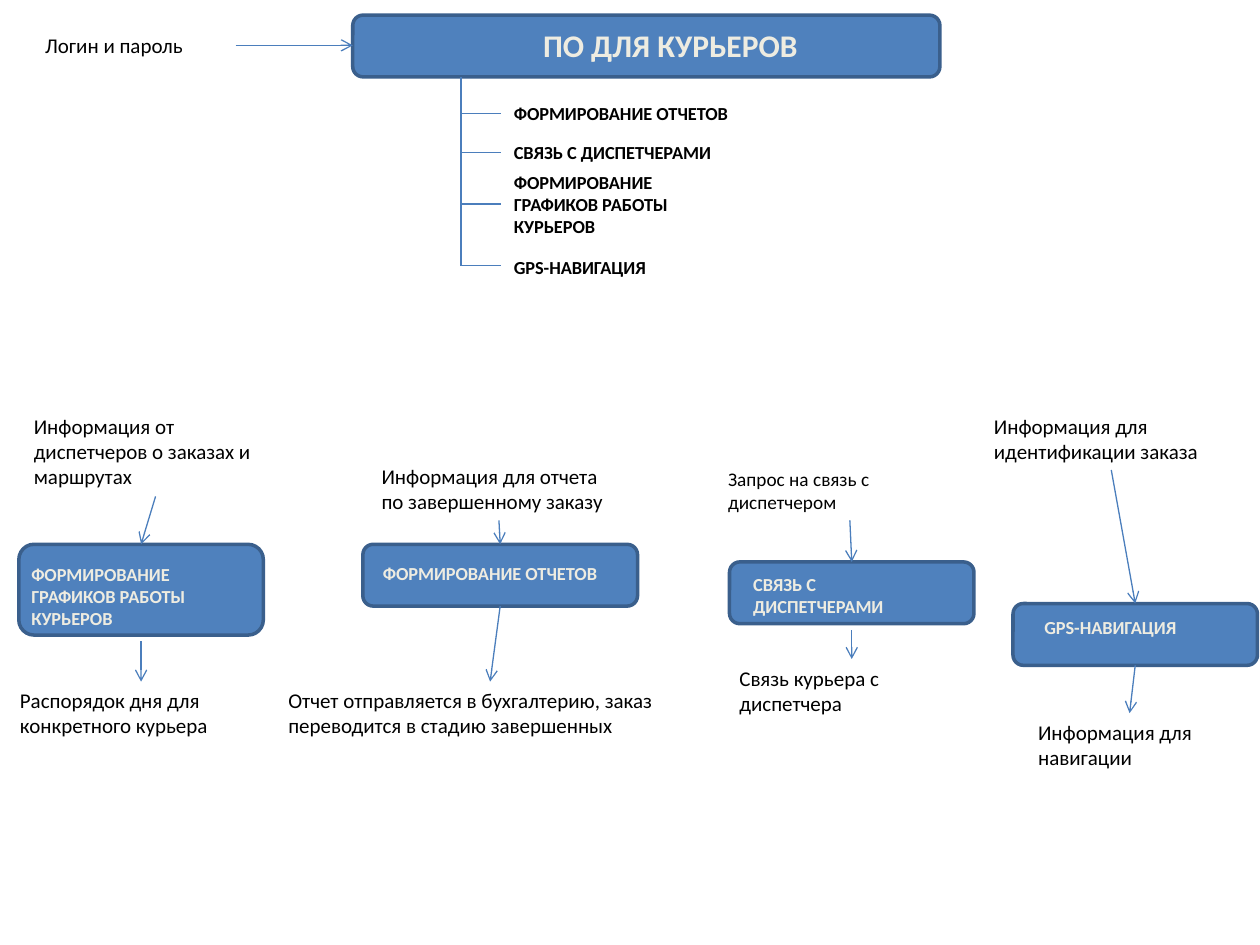
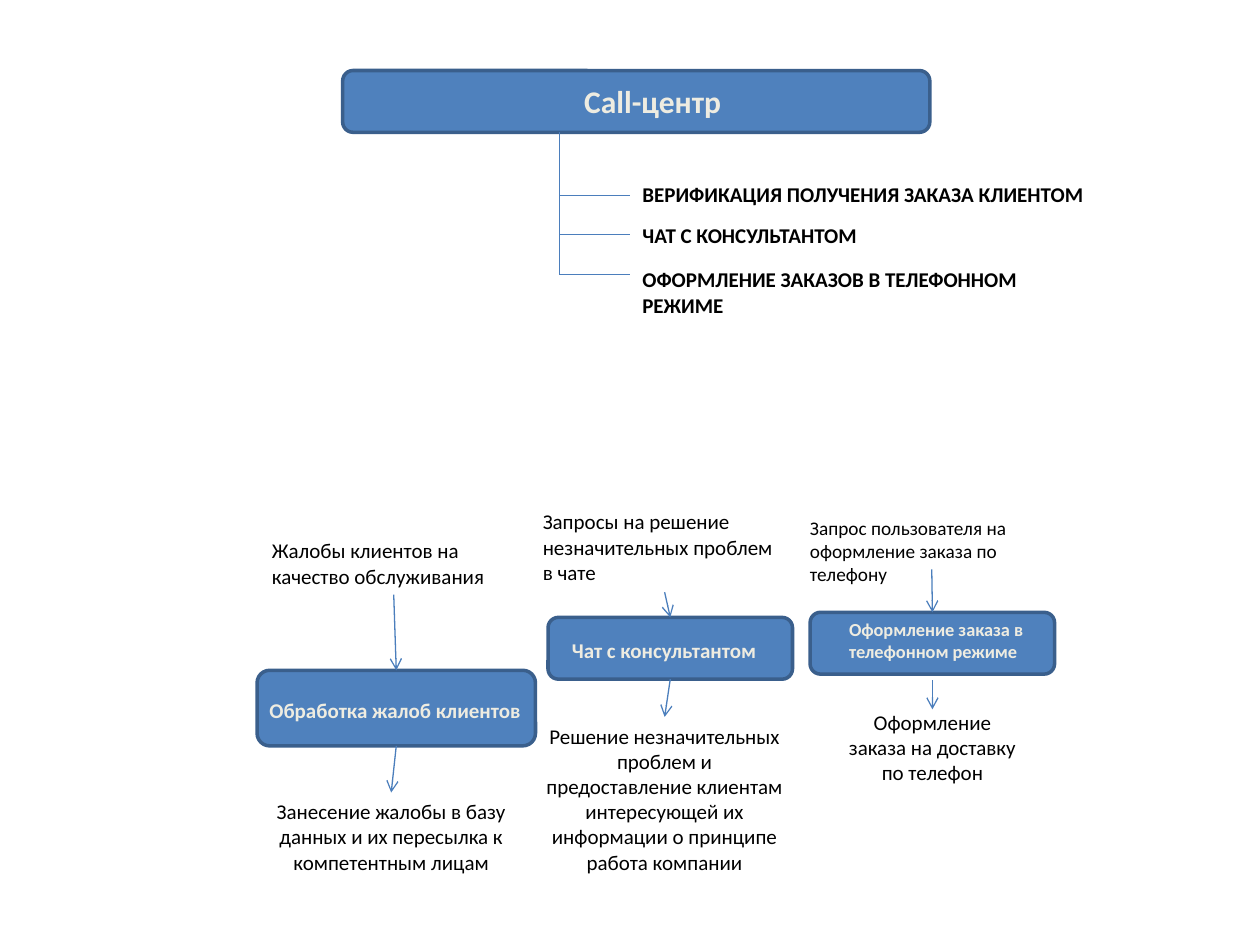
"""Build two flow diagrams: the courier software and the call centre."""
from lxml import etree
from pptx import Presentation
from pptx.dml.color import RGBColor
from pptx.enum.shapes import MSO_CONNECTOR, MSO_SHAPE
from pptx.enum.text import MSO_ANCHOR, MSO_AUTO_SIZE, PP_ALIGN
from pptx.oxml.ns import qn
from pptx.util import Inches, Pt

BOX_FILL = RGBColor(0x4F, 0x81, 0xBD)
BOX_EDGE = RGBColor(0x3A, 0x5F, 0x8C)
ARROW = RGBColor(0x4B, 0x7E, 0xBC)
CREAM = RGBColor(0xEE, 0xEC, 0xE1)
BLACK = RGBColor(0, 0, 0)
FONT = "Calibri"
LEFT, CENTER = PP_ALIGN.LEFT, PP_ALIGN.CENTER

deck = Presentation()
deck.slide_width, deck.slide_height = Inches(10), Inches(7.5)
COLUMN = deck.slide_width // 100
ROW = deck.slide_height // 75
BAR_SIZE = (46.6, 4.9)
SHORTEST_ARROW = 2.3


def write(holder, text, size, color=BLACK, bold=False, align=LEFT):
    frame = holder.text_frame
    frame.word_wrap = True
    frame.auto_size = MSO_AUTO_SIZE.NONE
    frame.vertical_anchor = MSO_ANCHOR.TOP
    frame.text = text
    paragraph = frame.paragraphs[0]
    paragraph.alignment = align
    paragraph.font.name, paragraph.font.size = FONT, Pt(size)
    paragraph.font.bold, paragraph.font.color.rgb = bold, color


def connect(slide, start, end, arrow=False):
    link = slide.shapes.add_connector(
        MSO_CONNECTOR.STRAIGHT,
        round(start[0] * COLUMN), round(start[1] * ROW),
        round(end[0] * COLUMN), round(end[1] * ROW))
    link.line.color.rgb, link.line.width = ARROW, Pt(0.75)
    properties = link._element.spPr
    if arrow:
        etree.SubElement(properties.find(qn("a:ln")), qn("a:tailEnd"), type="arrow")
    etree.SubElement(properties, qn("a:effectLst"))


diagrams = [
    {
        "title": ("ПО ДЛЯ КУРЬЕРОВ", (42.1, 1.6, 28.3, 4), LEFT),
        "bar": (28, 1.2),
        "menu": (36.6, 39.8, 10.5),
        "items": [
            ("ФОРМИРОВАНИЕ ОТЧЕТОВ", 9, 7.6, 19.4, 2.8),
            ("СВЯЗЬ С ДИСПЕТЧЕРАМИ", 12.1, 10.7, 21.1, 2.8),
            ("ФОРМИРОВАНИЕ ГРАФИКОВ РАБОТЫ КУРЬЕРОВ", 16.2, 13.1, 16.4, 6.3),
            ("GPS-НАВИГАЦИЯ", 21.1, 19.8, 16.4, 2.8),
        ],
        "output_align": LEFT,
        "flows": [
            {"input": ("Информация от диспетчеров о заказах и маршрутах", 12, (1.7, 32.3, 21.3, 7.1)),
             "box": (1.5, 43.2, 19.4, 7.2),
             "step": ("ФОРМИРОВАНИЕ ГРАФИКОВ РАБОТЫ КУРЬЕРОВ", 10.5, (1.5, 44.2, 19.4, 6.3)),
             "output": ("Распорядок дня для конкретного курьера", (0.6, 54.1, 21.3, 5)),
             "gap": 0.5},
            {"input": ("Информация для отчета по завершенному заказу", 12, (29.3, 36.3, 20.6, 5)),
             "box": (28.8, 43.2, 21.8, 4.9),
             "step": ("ФОРМИРОВАНИЕ ОТЧЕТОВ", 10.5, (29.4, 44.1, 20.5, 2.8)),
             "output": ("Отчет отправляется в бухгалтерию, заказ переводится в стадию завершенных",
                        (21.9, 54.1, 34, 5))},
            {"input": ("Запрос на связь с диспетчером", 11, (56.8, 36.6, 21.3, 4.7)),
             "box": (57.9, 44.6, 19.4, 4.9),
             "step": ("СВЯЗЬ С ДИСПЕТЧЕРАМИ", 10.5, (58.8, 45, 16.4, 4.5)),
             "output": ("Связь курьера с диспетчера", (57.7, 52.3, 21.3, 5)),
             "gap": 0.5},
            {"input": ("Информация для идентификации заказа", 12, (77.9, 32.3, 20.6, 5)),
             "box": (80.4, 47.9, 19.4, 4.9),
             "step": ("GPS-НАВИГАЦИЯ", 10.5, (81.9, 48.4, 16.4, 2.8)),
             "output": ("Информация для навигации", (81.4, 56.6, 16.5, 5))},
        ],
    },
    {
        "title": ("Call-центр", (35.4, 6, 32.8, 4), CENTER),
        "bar": (27.2, 5.6),
        "menu": (44.4, 50, 12),
        "items": [
            ("ВЕРИФИКАЦИЯ ПОЛУЧЕНИЯ ЗАКАЗА КЛИЕНТОМ", 15.5, 13.9, 47.2, 3),
            ("ЧАТ С КОНСУЛЬТАНТОМ", 18.6, 17.2, 35.7, 3),
            ("ОФОРМЛЕНИЕ ЗАКАЗОВ В ТЕЛЕФОННОМ РЕЖИМЕ", 21.8, 20.7, 35.7, 5),
        ],
        "output_align": CENTER,
        "flows": [
            {"input": ("Жалобы клиентов на качество обслуживания", 12, (20.6, 42.2, 21.3, 5)),
             "box": (20.4, 53.2, 22.1, 6),
             "step": ("Обработка жалоб клиентов", 12, (20.4, 54.9, 23, 3)),
             "output": ("Занесение жалобы в базу данных и их пересылка к компетентным лицам",
                        (20.4, 62.9, 21.3, 7.1))},
            {"input": ("Запросы на решение незначительных проблем в чате", 12, (42.1, 39.9, 21.3, 7.1)),
             "box": (43.5, 49, 19.4, 4.9),
             "step": ("Чат с консультантом", 12, (44.4, 50.1, 17.1, 3)),
             "output": ("Решение незначительных проблем и предоставление клиентам интересующей "
                        "их информации о принципе работа компании", (42.1, 56.9, 21.3, 13.1))},
            {"input": ("Запрос пользователя на оформление заказа по телефону", 11, (63.3, 40.5, 21.3, 6.6)),
             "box": (64.3, 48.6, 19.4, 4.9),
             "step": ("Оформление заказа в телефонном режиме", 10.5, (66.4, 48.6, 19.3, 4.5)),
             "output": ("Оформление заказа на доставку по телефон", (65.9, 55.8, 16.2, 7.1)),
             "gap": 0.5, "lift": 1.9},
        ],
    },
]

for diagram in diagrams:
    slide = deck.slides.add_slide(deck.slide_layouts[5])
    bar_left, bar_top = diagram["bar"]
    bar_bottom = bar_top + BAR_SIZE[1]
    boxes = [(bar_left, bar_top, *BAR_SIZE)] + [flow["box"] for flow in diagram["flows"]]
    for order, (left, top, width, height) in enumerate(boxes):
        box = slide.shapes.add_shape(
            MSO_SHAPE.ROUNDED_RECTANGLE, round(left * COLUMN), round(top * ROW),
            round(width * COLUMN), round(height * ROW))
        box.shadow.inherit = False
        box.fill.solid()
        box.fill.fore_color.rgb = BOX_FILL
        box.line.color.rgb, box.line.width = BOX_EDGE, Pt(2)
        slide.shapes._spTree.insert(2 + order, box._element)

    heading, (left, top, width, height), heading_align = diagram["title"]
    title = slide.shapes.title
    title.left, title.top = round(left * COLUMN), round(top * ROW)
    title.width, title.height = round(width * COLUMN), round(height * ROW)
    write(title, heading, 18, CREAM, True, heading_align)

    stem, item_left, item_size = diagram["menu"]
    labels = []
    connect(slide, (stem, bar_bottom), (stem, diagram["items"][-1][1]))
    for text, branch, top, width, height in diagram["items"]:
        connect(slide, (stem, branch), (item_left, branch))
        labels.append((text, (item_left, top, width, height), item_size, BLACK, True, LEFT))

    if diagram is diagrams[0]:
        login = (2.6, 2.1, 16.1, 3)
        labels.append(("Логин и пароль", login, 12, BLACK, False, LEFT))
        connect(slide, (login[0] + login[2], 3.6), (bar_left, 3.6), arrow=True)

    for flow in diagram["flows"]:
        given, given_size, given_area = flow["input"]
        step, step_size, step_area = flow["step"]
        result, result_area = flow["output"]
        labels += [
            (given, given_area, given_size, BLACK, False, LEFT),
            (step, step_area, step_size, CREAM, True, LEFT),
            (result, result_area, 12, BLACK, False, diagram["output_align"]),
        ]
        left, top, width, height = flow["box"]
        middle, gap = left + width / 2, flow.get("gap", 0)
        given_end = given_area[1] + given_area[3] - flow.get("lift", 0)
        connect(slide, (given_area[0] + given_area[2] / 2, given_end), (middle, top), arrow=True)
        exit_top = top + height + gap
        exit_end = max(result_area[1], exit_top + SHORTEST_ARROW)
        target = middle if gap else result_area[0] + result_area[2] / 2
        connect(slide, (middle, exit_top), (target, exit_end), arrow=True)

    for text, (left, top, width, height), size, color, bold, align in labels:
        label = slide.shapes.add_textbox(
            round(left * COLUMN), round(top * ROW), round(width * COLUMN), round(height * ROW))
        write(label, text, size, color, bold, align)

deck.save("out.pptx")
